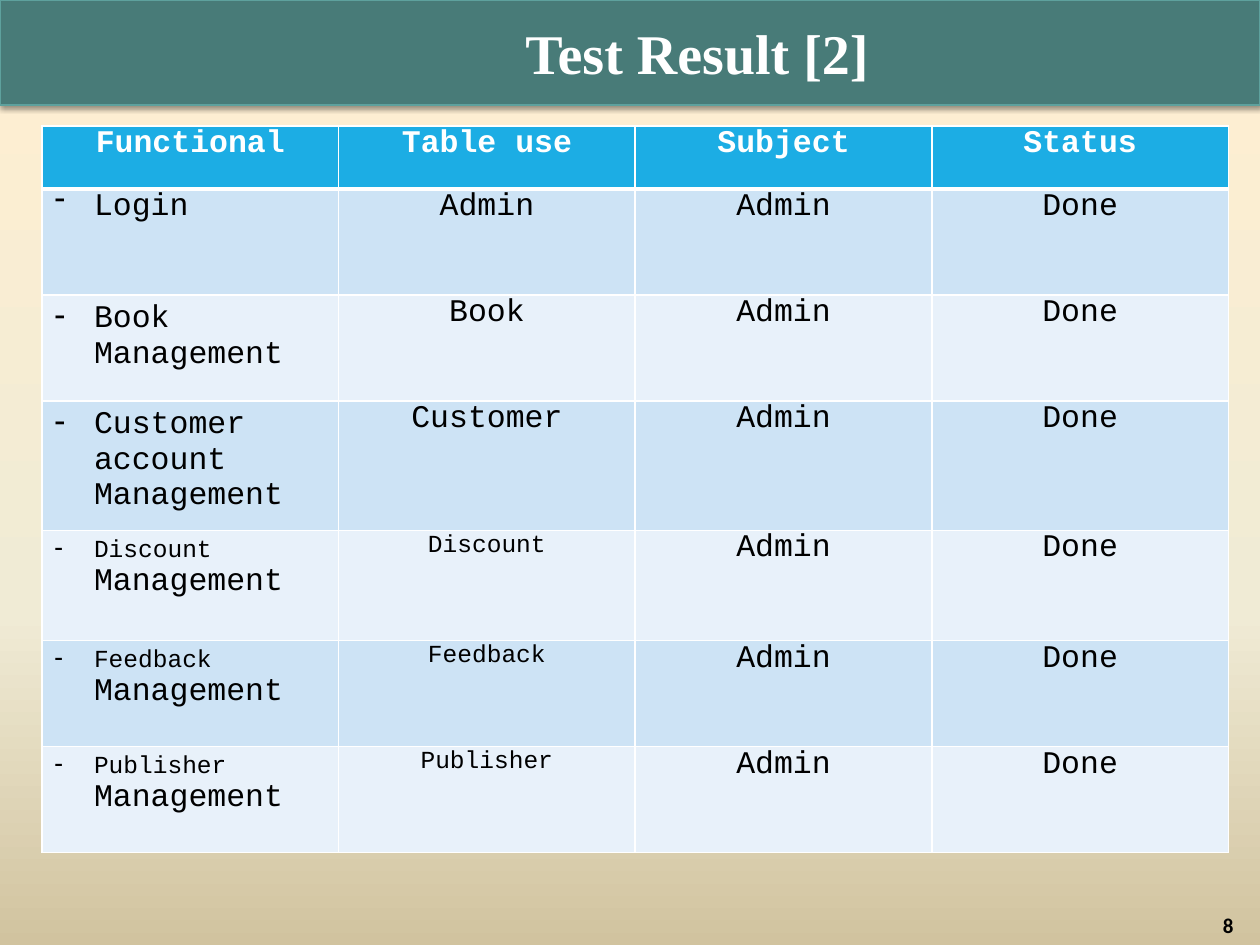
from lxml.etree import SubElement
from pptx import Presentation
from pptx.dml.color import RGBColor
from pptx.enum.shapes import MSO_SHAPE
from pptx.enum.text import MSO_ANCHOR, PP_ALIGN
from pptx.oxml import parse_xml
from pptx.oxml.ns import nsdecls, qn
from pptx.util import Pt

WHITE = RGBColor(0xFF, 0xFF, 0xFF)
BLACK = RGBColor(0, 0, 0)
TEAL = RGBColor(0x48, 0x7B, 0x78)
TEAL_EDGE = RGBColor(0x5E, 0xA1, 0x9D)
HEADER_BLUE = RGBColor(0x1C, 0xAD, 0xE4)
BANDS = RGBColor(0xCD, 0xE3, 0xF5), RGBColor(0xE8, 0xF1, 0xFA)
BACKDROP = [(0, "FFEFD1"), (65, "F0EBD5"), (100, "D1C39F")]

TITLE = "Test Result [2]"
PAGE = "8"
HEADINGS = ["Functional", "Table use", "Subject", "Status"]
# A line break in the function marks a smaller first line.
TESTS = [
    ("Login", "Admin"),
    ("Book Management", "Book"),
    ("Customer account Management", "Customer"),
    ("Discount\nManagement", "Discount"),
    ("Feedback\nManagement", "Feedback"),
    ("Publisher\nManagement", "Publisher"),
]
SUBJECT, STATUS = "Admin", "Done"

COLUMN_WIDTH = 169.5
ROW_HEIGHTS = [36, 60.6, 60.6, 74, 63, 60.6, 60.6]
BODY, SMALL = 18, 14
HANGING = 22.5


def add_run(paragraph, text, size, color, bold=False, face="Courier New"):
    run = paragraph.add_run()
    run.text = text
    style = {"size": Pt(size), "bold": bold, "name": face}
    for name, value in style.items():
        setattr(run.font, name, value)
    run.font.color.rgb = color


def add_break(paragraph, size):
    """Break the line without letting the break enlarge it."""
    line_break = SubElement(paragraph._p, qn("a:br"))
    SubElement(line_break, qn("a:rPr"), sz=str(size * 100))


def add_dash(paragraph):
    properties = paragraph._p.get_or_add_pPr()
    properties.set("marL", str(Pt(HANGING)))
    properties.set("indent", str(-Pt(HANGING)))
    color = SubElement(properties, qn("a:buClr"))
    SubElement(color, qn("a:srgbClr"), val=str(BLACK))
    SubElement(properties, qn("a:buChar"), char="-")


def paint_cell(cell, color, bottom=1):
    properties = cell._tc.get_or_add_tcPr()
    for side, width in {"L": 1, "R": 1, "T": 1, "B": bottom}.items():
        line = SubElement(properties, qn(f"a:ln{side}"), w=str(Pt(width)))
        fill = SubElement(line, qn("a:solidFill"))
        SubElement(fill, qn("a:srgbClr"), val=str(WHITE))
    cell.fill.solid()
    cell.fill.fore_color.rgb = color


def add_label(slide, box, align):
    label = slide.shapes.add_textbox(*map(Pt, box))
    frame = label.text_frame
    frame.word_wrap = True
    frame.vertical_anchor = MSO_ANCHOR.MIDDLE
    frame.paragraphs[0].alignment = align
    return frame


def set_backdrop(slide):
    stops = "".join(
        f'<a:gs pos="{place * 1000}"><a:srgbClr val="{color}"/></a:gs>'
        for place, color in BACKDROP)
    slide._element.cSld.insert(0, parse_xml(
        f'<p:bg {nsdecls("p", "a")}><p:bgPr><a:gradFill rotWithShape="1">'
        f'<a:gsLst>{stops}</a:gsLst><a:lin ang="5400000" scaled="0"/>'
        '</a:gradFill><a:effectLst/></p:bgPr></p:bg>'))


def add_banner(slide):
    banner = slide.shapes.add_shape(
        MSO_SHAPE.RECTANGLE, 0, 0, Pt(720), Pt(60))
    banner.fill.solid()
    banner.fill.fore_color.rgb = TEAL
    banner.line.color.rgb = TEAL_EDGE
    banner.line.width = Pt(0.75)
    banner.shadow.inherit = False
    effects = banner._element.spPr.find(qn("a:effectLst"))
    shadow = SubElement(effects, qn("a:outerShdw"), blurRad=str(Pt(3.1)),
                        dist=str(Pt(1.6)), dir="5400000", rotWithShape="0")
    color = SubElement(shadow, qn("a:srgbClr"), val=str(BLACK))
    SubElement(color, qn("a:alpha"), val="38000")


def add_results(slide):
    table = slide.shapes.add_table(
        len(ROW_HEIGHTS), len(HEADINGS), Pt(24), Pt(72),
        Pt(COLUMN_WIDTH * len(HEADINGS)), Pt(sum(ROW_HEIGHTS))).table
    for column in table.columns:
        column.width = Pt(COLUMN_WIDTH)
    for row, height in zip(table.rows, ROW_HEIGHTS):
        row.height = Pt(height)

    for c, heading in enumerate(HEADINGS):
        cell = table.cell(0, c)
        paint_cell(cell, HEADER_BLUE, bottom=3)
        paragraph = cell.text_frame.paragraphs[0]
        paragraph.alignment = PP_ALIGN.CENTER
        paragraph.line_spacing = 0.7
        add_run(paragraph, heading, BODY, WHITE, bold=True)

    for r, (function, used_table) in enumerate(TESTS, start=1):
        first_size = SMALL if "\n" in function else BODY
        for c, text in enumerate([function, used_table, SUBJECT, STATUS]):
            cell = table.cell(r, c)
            paint_cell(cell, BANDS[(r - 1) % 2])
            paragraph = cell.text_frame.paragraphs[0]
            if " " not in text and "\n" not in text:
                paragraph.line_spacing = 0.7
            if c == 0:
                paragraph.alignment = PP_ALIGN.LEFT
                add_dash(paragraph)
            else:
                paragraph.alignment = PP_ALIGN.CENTER
            first, *rest = text.split("\n")
            add_run(paragraph, first, first_size if c < 2 else BODY, BLACK)
            for line in rest:
                add_break(paragraph, first_size)
                add_run(paragraph, line, BODY, BLACK)


def main():
    deck = Presentation()
    deck.slide_width, deck.slide_height = Pt(720), Pt(540)
    slide = deck.slides.add_slide(deck.slide_layouts[6])
    set_backdrop(slide)
    add_banner(slide)

    number = add_label(slide, (8.6, 522, 703.4, 13), PP_ALIGN.RIGHT)
    add_run(number.paragraphs[0], PAGE, 12, BLACK, True, "Calibri")

    add_results(slide)

    title = add_label(slide, (24, 6, 678, 48), PP_ALIGN.CENTER)
    title.margin_left = Pt(78)
    add_run(title.paragraphs[0], TITLE, 32, WHITE, True, "Times New Roman")
    deck.save("out.pptx")


if __name__ == "__main__":
    main()
